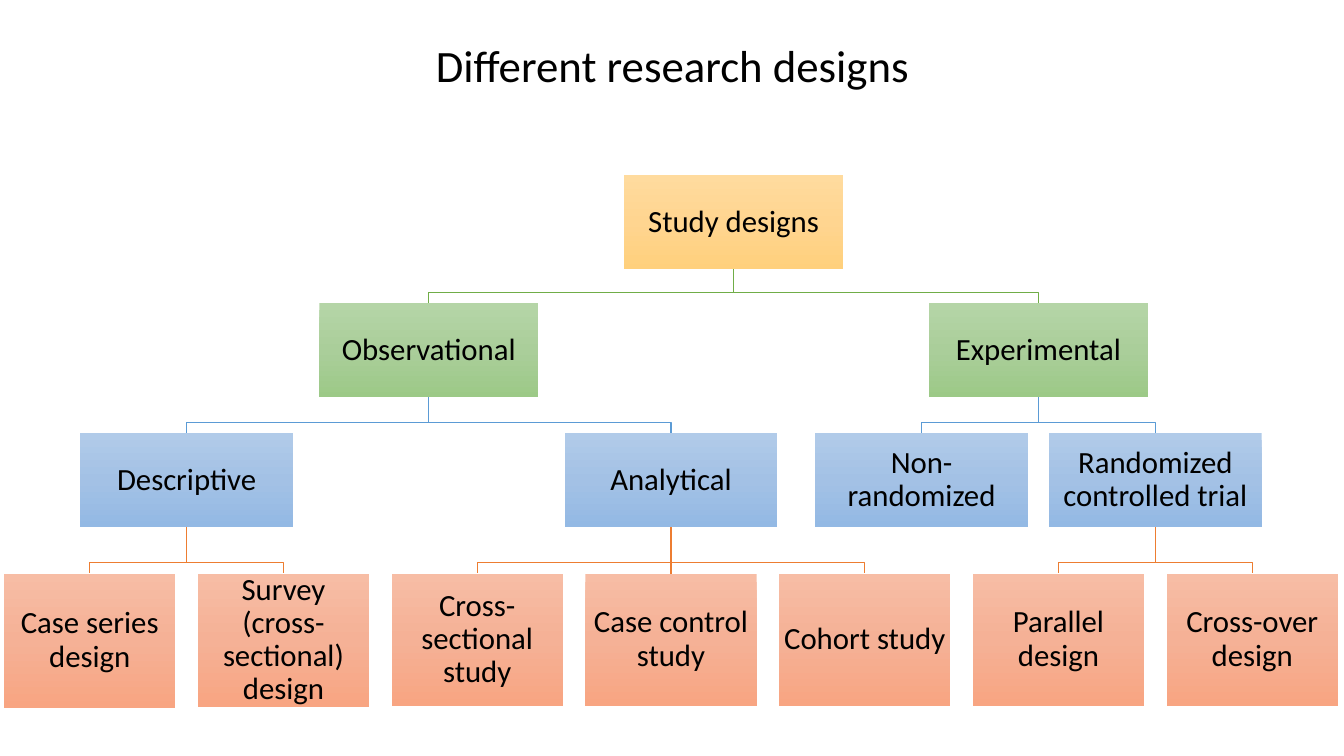
from dataclasses import dataclass, field

from lxml.etree import SubElement
from pptx import Presentation
from pptx.dml.color import RGBColor
from pptx.enum.shapes import MSO_CONNECTOR, MSO_SHAPE
from pptx.enum.text import MSO_ANCHOR, PP_ALIGN
from pptx.oxml.ns import qn
from pptx.util import Inches, Pt


@dataclass(frozen=True)
class Theme:
    font: str = "Calibri"
    title_size: int = 32
    box_size: int = 22
    ink: str = "000000"
    line_width: int = 1
    # One entry per tree level: box gradient, and the line leading into it
    gradients: tuple = (
        ("FFDB9E", "FFD590", "FFD07C"),
        ("B5D5A7", "AACE9A", "9CC987"),
        ("B1CBE9", "A3C1E5", "93B9E4"),
        ("F7BDA5", "F5B196", "F8A582"),
    )
    branches: tuple = (None, "70AD47", "5B9BD5", "ED7D31")


@dataclass
class Design:
    name: str
    children: list = field(default_factory=list)
    center: float = 0
    height: float = 0.93


class TreeSlide:
    def __init__(self, slide, theme):
        self.slide = slide
        self.shapes = slide.shapes
        self.theme = theme

    def set_text(self, frame, text, size):
        frame.text = text
        frame.word_wrap = True
        frame.vertical_anchor = MSO_ANCHOR.MIDDLE
        paragraph = frame.paragraphs[0]
        paragraph.alignment = PP_ALIGN.CENTER
        paragraph.line_spacing = 0.9
        font = paragraph.runs[0].font
        font.name = self.theme.font
        font.size = Pt(size)
        font.color.rgb = RGBColor.from_string(self.theme.ink)

    def title(self, text, left, top, width, height):
        heading = self.shapes.title
        heading.left, heading.top = Inches(left), Inches(top)
        heading.width, heading.height = Inches(width), Inches(height)
        self.set_text(heading.text_frame, text, self.theme.title_size)

    def branch(self, start_x, start_y, end_x, end_y, bend_y, color):
        if abs(start_x - end_x) < 0.01:  # child directly below its parent
            line = self.shapes.add_connector(
                MSO_CONNECTOR.STRAIGHT, Inches(start_x), Inches(start_y),
                Inches(end_x), Inches(end_y))
            SubElement(line._element.spPr, qn("a:effectLst"))
        else:
            builder = self.shapes.build_freeform(Inches(start_x), Inches(start_y))
            corners = [(start_x, bend_y), (end_x, bend_y), (end_x, end_y)]
            builder.add_line_segments(
                [(Inches(x), Inches(y)) for x, y in corners], close=False)
            line = builder.convert_to_shape()
            line.fill.background()
            line.shadow.inherit = False
        line.line.color.rgb = RGBColor.from_string(color)
        line.line.width = Pt(self.theme.line_width)

    def box(self, text, left, top, width, height, colors):
        box = self.shapes.add_shape(
            MSO_SHAPE.RECTANGLE, Inches(left), Inches(top),
            Inches(width), Inches(height))
        box.shadow.inherit = False
        box.line.fill.background()
        box.fill.gradient()
        box.fill.gradient_angle = 270
        # Three evenly spaced gradient stops
        stops = box._element.spPr.find(qn("a:gradFill")).find(qn("a:gsLst"))
        for stop in list(stops):
            stops.remove(stop)
        for index, color in enumerate(colors):
            stop = SubElement(stops, qn("a:gs"), pos=str(index * 50000))
            SubElement(stop, qn("a:srgbClr"), val=color)
        frame = box.text_frame
        frame.margin_left = frame.margin_right = Inches(0.02)
        frame.margin_top = frame.margin_bottom = Inches(0.02)
        self.set_text(frame, text, self.theme.box_size)


# Rows of the tree
ROW_TOPS = (1.74, 3.01, 4.3, 5.69)
BOX_WIDTHS = (2.17, 2.17, 2.11, 1.7)
BOX_HEIGHT = 0.93
BEND_RISE = 0.11

# Bottom row: equal steps between the first and last centers
FIRST_CENTER, LAST_CENTER = 0.89, 12.42
bottom_row = [
    Design("Case series design", height=1.33),
    Design("Survey (cross-sectional) design", height=1.32),
    *[Design(name, height=1.31) for name in (
        "Cross-sectional study", "Case control study", "Cohort study",
        "Parallel design", "Cross-over design")],
]
step = (LAST_CENTER - FIRST_CENTER) / (len(bottom_row) - 1)
for column, design in enumerate(bottom_row):
    design.center = FIRST_CENTER + column * step

study_designs = Design("Study designs", [
    Design("Observational", [
        Design("Descriptive", bottom_row[:2]),
        Design("Analytical", bottom_row[2:5]),
    ]),
    Design("Experimental", [
        Design("Non-randomized", center=9.14),
        Design("Randomized controlled trial", bottom_row[5:]),
    ]),
])


def center_over_children(design):
    if design.children:
        for child in design.children:
            center_over_children(child)
        design.center = (design.children[0].center + design.children[-1].center) / 2


def draw_branches(page, design, level=0):
    for child in design.children:
        child_top = ROW_TOPS[level + 1]
        page.branch(design.center, ROW_TOPS[level] + BOX_HEIGHT,
                    child.center, child_top, child_top - BEND_RISE,
                    page.theme.branches[level + 1])
        draw_branches(page, child, level + 1)


def draw_boxes(page, design, level=0):
    width = BOX_WIDTHS[level]
    page.box(design.name, design.center - width / 2, ROW_TOPS[level],
             width, design.height, page.theme.gradients[level])
    for child in design.children:
        draw_boxes(page, child, level + 1)


presentation = Presentation()
presentation.slide_width = Inches(13.33)
presentation.slide_height = Inches(7.5)
title_only = presentation.slide_layouts[5]
page = TreeSlide(presentation.slides.add_slide(title_only), Theme())

# Heading
page.title("Different research designs", 0.92, 0.38, 11.5, 0.58)

# Tree: lines behind, boxes in front
center_over_children(study_designs)
draw_branches(page, study_designs)
draw_boxes(page, study_designs)

presentation.save("out.pptx")
